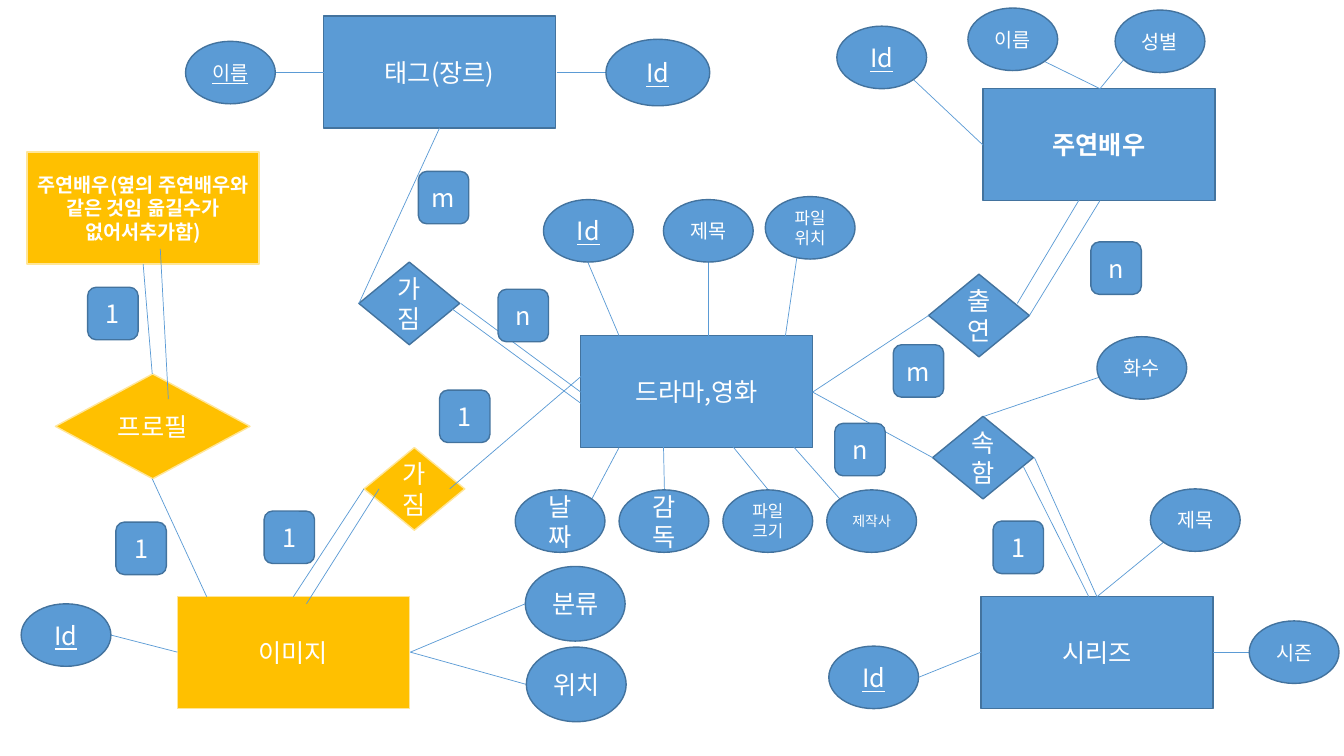
"""Entity-relationship diagram of a drama and film database."""
import lxml.etree
import pptx
import pptx.dml.color
import pptx.enum.shapes
import pptx.enum.text
import pptx.oxml.ns
import pptx.util

FONT = "Noto Sans CJK KR"
COLORS = {"blue": "5B9BD5", "blue_edge": "43739E", "gold": "FFC000",
          "gold_edge": "FFE699", "text": "FFFFFF"}
CM_PER_UNIT = 2.54
SLIDE = (13.33, 7.5)
GOLD = {"tone": "gold"}
KEY = {"underline": True}

ENTITIES = [
    ("주연배우", 9.75, 0.88, {"bold": True}),
    ("시리즈", 9.73, 5.92, {}),
    ("드라마,영화", 5.76, 3.33, {}),
    ("이미지", 1.76, 5.92, GOLD),
    ("태그(장르)", 3.21, 0.16, {}),
    ("주연배우(옆의 주연배우와 같은 것임 옮길수가 없어서추가함)", 0.27, 1.51,
     {"tone": "gold", "size": 14, "bold": True}),
]
RELATIONS = [
    ("가짐", 3.56, 2.6, {}),
    ("가짐", 3.61, 4.44, GOLD),
    ("출연", 9.21, 2.72, {}),
    ("속함", 9.25, 4.13, {}),
    ("프로필", 0.55, 3.71, {"tone": "gold", "box": (1.93, 1.04)}),
]
ATTRIBUTES = [
    ("Id", 5.39, 1.98, KEY),
    ("제목", 6.58, 1.98, {"size": 14}),
    ("파일위치", 7.59, 1.95, {"size": 12}),
    ("날짜", 5.11, 4.86, {}),
    ("감독", 6.14, 4.86, {}),
    ("파일크기", 7.17, 4.86, {"size": 12}),
    ("제작사", 8.2, 4.86, {"size": 10}),
    ("Id", 0.21, 5.99, KEY),
    ("Id", 8.3, 0.26, KEY),
    ("Id", 8.22, 6.41, KEY),
    ("제목", 11.41, 4.85, {"size": 14}),
    ("시즌", 12.39, 6.16, {"size": 14}),
    ("화수", 10.88, 3.34, {"size": 14}),
    ("성별", 11.06, 0.1, {"size": 14}),
    ("이름", 9.6, 0.08, {"size": 14}),
    ("이름", 1.84, 0.41, {"size": 14, "underline": True}),
    ("분류", 5.21, 5.62, {"box": (0.99, 0.74)}),
    ("위치", 5.22, 6.42, {"box": (0.99, 0.74)}),
    ("Id", 6.01, 0.39, {"underline": True, "box": (1.03, 0.66)}),
]
CARDINALITIES = [
    ("1", 4.36, 3.87, {}), ("1", 2.62, 5.07, {}), ("m", 4.15, 1.7, {}),
    ("m", 8.86, 3.42, {}), ("1", 9.85, 5.17, {}), ("n", 10.82, 2.4, {}),
    ("n", 8.28, 4.2, {}), ("n", 4.94, 2.87, {}), ("1", 0.87, 2.85, {}),
    ("1", 1.15, 5.18, {}),
]
ATTRIBUTE_LINES = [
    (5.83, 2.6, 6.14, 3.33), (7.03, 2.6, 7.03, 3.36), (7.91, 2.51, 7.78, 3.4),
    (5.87, 4.95, 6.14, 4.44), (6.59, 4.86, 6.58, 4.39), (7.62, 4.86, 7.17, 4.31),
    (8.33, 4.95, 7.86, 4.42), (1.1, 6.3, 1.76, 6.47), (9.06, 0.79, 9.75, 1.44),
    (9.11, 6.72, 9.73, 6.47), (10.88, 5.92, 11.54, 5.38), (12.03, 6.47, 12.39, 6.47),
    (9.76, 4.13, 10.91, 3.74), (10.91, 0.88, 11.22, 0.5), (10.36, 0.61, 10.91, 0.88),
    (4.07, 6.47, 5.21, 5.99), (4.07, 6.47, 5.22, 6.79), (3.21, 0.72, 2.47, 0.72),
    (5.52, 0.72, 6.01, 0.72),
]
RELATION_LINES = [
    (4.36, 1.27, 3.56, 3.01), (4.57, 3.01, 5.76, 3.89), (4.45, 3.04, 5.8, 4.03),
    (3.61, 4.85, 2.91, 5.92), (3.04, 5.99, 3.76, 4.85), (4.46, 4.85, 5.78, 3.72),
    (8.06, 3.89, 9.21, 3.13), (10.21, 3.13, 10.91, 1.99), (10.09, 3.01, 10.8, 1.82),
    (8.06, 3.89, 9.25, 4.54), (10.26, 4.54, 10.88, 5.92), (10.15, 4.63, 10.91, 6.14),
    (1.51, 3.71, 1.42, 2.62), (1.59, 2.47, 1.67, 3.96), (1.51, 4.75, 2.05, 5.92),
]
SHAPES = pptx.enum.shapes.MSO_SHAPE
KINDS = {
    "entity": (SHAPES.RECTANGLE, (2.3, 1.11)),
    "relation": (SHAPES.DIAMOND, (1, 0.82)),
    "attribute": (SHAPES.OVAL, (0.89, 0.62)),
    "cardinality": (SHAPES.ROUNDED_RECTANGLE, (0.5, 0.52)),
}


def lengths(*values):
    return [pptx.util.Cm(v * CM_PER_UNIT) for v in values]


def rgb(name):
    return pptx.dml.color.RGBColor.from_string(COLORS[name])


def add_node(slide, kind, text, left, top, style):
    preset, box = KINDS[kind]
    tone = style.get("tone", "blue")
    s = slide.shapes.add_shape(preset, *lengths(left, top, *style.get("box", box)))
    s.shadow.inherit = False
    s.fill.solid()
    s.fill.fore_color.rgb = rgb(tone)
    s.line.color.rgb = rgb(tone + "_edge")
    s.line.width = pptx.util.Pt(1)
    tf = s.text_frame
    tf.word_wrap = True
    tf.vertical_anchor = pptx.enum.text.MSO_ANCHOR.MIDDLE
    p = tf.paragraphs[0]
    p.alignment = pptx.enum.text.PP_ALIGN.CENTER
    r = p.add_run()
    r.text = text
    font = {"name": FONT, "size": pptx.util.Pt(style.get("size", 18)),
            "bold": style.get("bold", False), "underline": style.get("underline", False)}
    for attribute, value in font.items():
        setattr(r.font, attribute, value)
    r.font.color.rgb = rgb("text")
    ea = lxml.etree.SubElement(r._r.get_or_add_rPr(), pptx.oxml.ns.qn("a:ea"))
    ea.set("typeface", FONT)


def add_line(slide, ends):
    straight = pptx.enum.shapes.MSO_CONNECTOR.STRAIGHT
    s = slide.shapes.add_connector(straight, *lengths(*ends))
    s.line.color.rgb = rgb("blue")
    s.line.width = pptx.util.Pt(0.5)
    lxml.etree.SubElement(s._element.spPr, pptx.oxml.ns.qn("a:effectLst"))


def main():
    prs = pptx.Presentation()
    prs.slide_width, prs.slide_height = lengths(*SLIDE)
    slide = prs.slides.add_slide(prs.slide_layouts[6])
    layers = [("entity", ENTITIES), ("relation", RELATIONS),
              ("attribute", ATTRIBUTES), ("cardinality", CARDINALITIES)]
    for kind, nodes in layers:
        if kind == "attribute":
            for ends in RELATION_LINES + ATTRIBUTE_LINES:
                add_line(slide, ends)
        for node in nodes:
            add_node(slide, kind, *node)
    prs.save("out.pptx")


if __name__ == "__main__":
    main()
